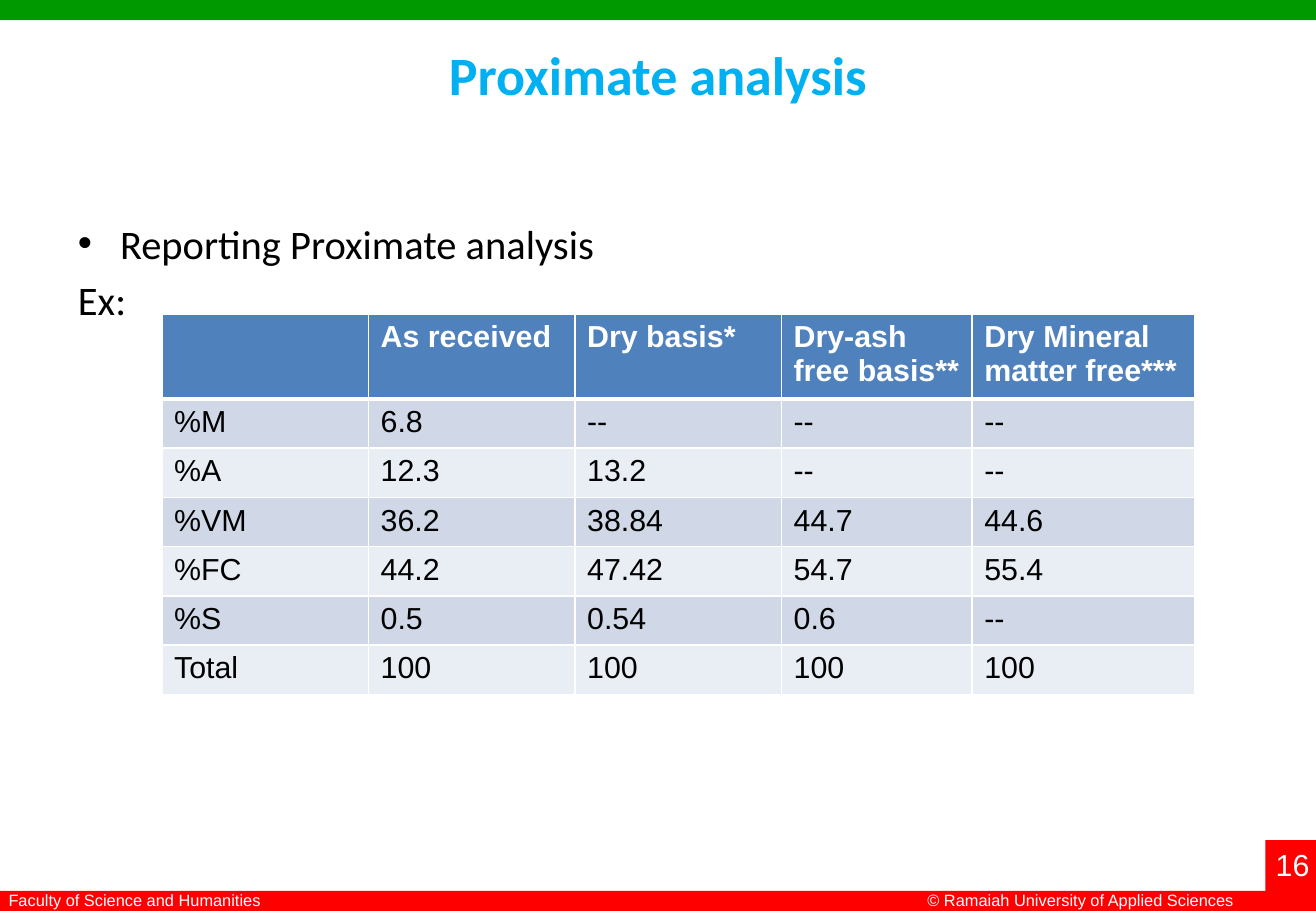
from pptx import Presentation
from pptx.dml.color import RGBColor
from pptx.enum.shapes import MSO_SHAPE
from pptx.enum.text import MSO_ANCHOR, MSO_AUTO_SIZE, PP_ALIGN
from pptx.oxml.ns import qn
from pptx.util import Pt
from lxml.etree import SubElement

WIDTH, HEIGHT = 780, 540
BAR = 12
COLORS = {
    "green": "009900", "red": "FF0000", "title": "00B0F0",
    "head": "4F81BD", "odd": "D0D8E8", "even": "E9EDF4",
    "white": "FFFFFF", "black": "000000",
}
ROWS = [
    ["", "As received", "Dry basis*", "Dry-ash free basis**",
     "Dry Mineral matter free***"],
    ["%M", "6.8", "--", "--", "--"],
    ["%A", "12.3", "13.2", "--", "--"],
    ["%VM", "36.2", "38.84", "44.7", "44.6"],
    ["%FC", "44.2", "47.42", "54.7", "55.4"],
    ["%S", "0.5", "0.54", "0.6", "--"],
    ["Total", "100", "100", "100", "100"],
]
COLS = [122.4, 122.4, 122.4, 113, 131.8]


def color(name):
    return RGBColor.from_string(COLORS[name])


def style(font, face, size, tint, bold=False):
    font.name, font.size, font.bold = face, Pt(size), bold
    font.color.rgb = color(tint)


def place(shape, box):
    shape.left, shape.top, shape.width, shape.height = map(Pt, box)


def add_bar(slide, box, fill):
    bar = slide.shapes.add_shape(MSO_SHAPE.RECTANGLE, *map(Pt, box))
    bar.shadow.inherit = False
    bar.fill.solid()
    bar.fill.fore_color.rgb = color(fill)
    bar.line.fill.background()


def add_label(slide, box, text, size):
    frame = slide.shapes.add_textbox(*map(Pt, box)).text_frame
    frame.word_wrap = False
    frame.text = text
    style(frame.paragraphs[0].runs[0].font, "Arial", size, "white")


def add_frame(slide, box):
    """Top bar, footer bar and page number."""
    left, top, width, height = box
    foot = top + height - BAR
    page = top + height - 42
    add_bar(slide, (left, top, width, BAR), "green")
    add_bar(slide, (left, foot, width, BAR), "red")
    add_bar(slide, (left + width - 30, page, 30, 42), "red")
    add_label(slide, (left - 2, foot - 4, 230, 19),
              "Faculty of Science and Humanities", 9.7)
    add_label(slide, (left + 542.6, foot - 4, 198, 19),
              "© Ramaiah University of Applied Sciences", 9.7)
    add_label(slide, (left + width - 31, page, 37, 29), "16", 18)


def add_title(slide, box):
    title = slide.shapes.title
    place(title, box)
    frame = title.text_frame
    frame.text = "Proximate analysis"
    frame.auto_size = MSO_AUTO_SIZE.NONE
    frame.vertical_anchor = MSO_ANCHOR.MIDDLE
    line = frame.paragraphs[0]
    line.alignment = PP_ALIGN.CENTER
    style(line.runs[0].font, "Calibri", 32, "title", True)


def add_body(slide, box):
    body = slide.placeholders[1]
    place(body, box)
    frame = body.text_frame
    frame.auto_size = MSO_AUTO_SIZE.NONE
    frame.text = "Reporting Proximate analysis\nEx:"
    for line, indent, gap in zip(frame.paragraphs, (25, 0), (0, 4.8)):
        props = line._p.get_or_add_pPr()
        props.set("marL", str(Pt(indent)))
        props.set("indent", str(Pt(-indent)))
        if indent:
            SubElement(props, qn("a:buFont")).set("typeface", "Arial")
            SubElement(props, qn("a:buChar")).set("char", "•")
        else:
            SubElement(props, qn("a:buNone"))
        line.space_before = Pt(gap)
        style(line.runs[0].font, "Calibri", 24, "black")


def add_edges(cell, widths):
    """White cell borders: left, right, top, bottom."""
    props = cell._tc.get_or_add_tcPr()
    for spot, (side, width) in enumerate(zip("LRTB", widths)):
        edge = SubElement(props, qn("a:ln" + side))
        edge.set("w", str(Pt(width)))
        fill = SubElement(edge, qn("a:solidFill"))
        SubElement(fill, qn("a:srgbClr")).set("val", COLORS["white"])
        props.insert(spot, edge)


def add_grid(slide, box):
    table = slide.shapes.add_table(len(ROWS), len(COLS),
                                   *map(Pt, box)).table
    for col, width in zip(table.columns, COLS):
        col.width = Pt(width)
    for r, values in enumerate(ROWS):
        head = r == 0
        table.rows[r].height = Pt(46.2 if head else 29.2)
        band = "head" if head else "odd" if r % 2 else "even"
        for c, value in enumerate(values):
            cell = table.cell(r, c)
            cell.text = value
            cell.fill.solid()
            cell.fill.fore_color.rgb = color(band)
            style(cell.text_frame.paragraphs[0].font, "Arial", 18,
                  "white" if head else "black", head)
            add_edges(cell, (1, 1, 3 if r == 1 else 1, 3 if head else 1))


def main():
    deck = Presentation()
    deck.slide_width, deck.slide_height = Pt(WIDTH), Pt(HEIGHT)
    slide = deck.slides.add_slide(deck.slide_layouts[1])
    add_frame(slide, (0, 0, WIDTH, HEIGHT))
    add_title(slide, (39, 21.6, 702, 44.6))
    add_body(slide, (39, 126, 702, 356.4))
    add_grid(slide, (96, 186, sum(COLS), 221.4))
    deck.save("out.pptx")


if __name__ == "__main__":
    main()
